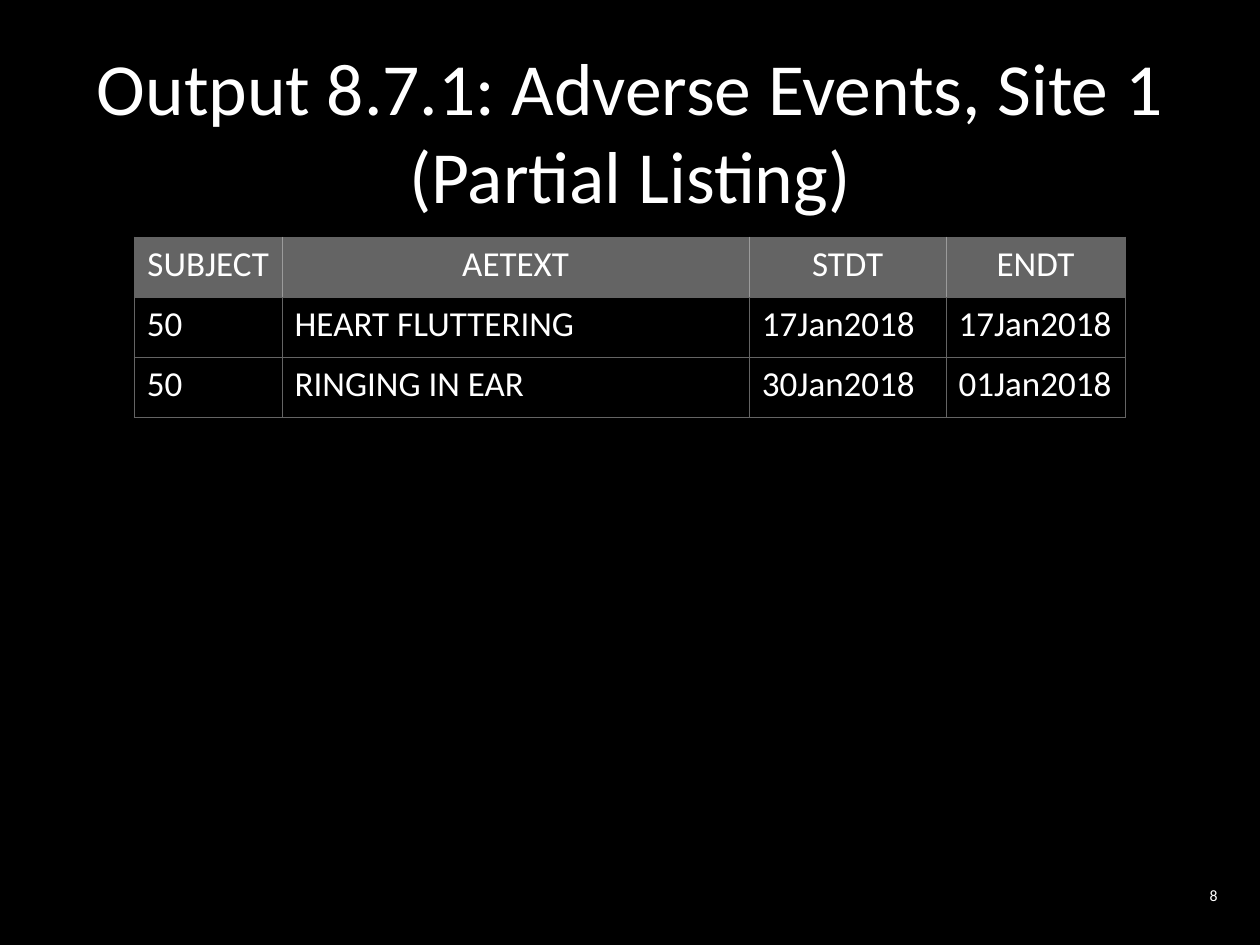
from pptx import Presentation
from pptx.dml.color import RGBColor
from pptx.enum.text import MSO_ANCHOR, PP_ALIGN
from pptx.oxml import parse_xml
from pptx.oxml.ns import nsdecls
from pptx.util import Pt

BLACK = RGBColor(0x00, 0x00, 0x00)
WHITE = RGBColor(0xFF, 0xFF, 0xFF)
GRAY = RGBColor(0x64, 0x64, 0x64)
LIGHT_GRAY = RGBColor(0x9B, 0x9B, 0x9B)
FONT = "Calibri"

COLUMN_WIDTHS = [84.4, 267, 112.4, 102.4]
ROW_HEIGHT = 34.4
EVENTS = [
    ["SUBJECT", "AETEXT", "STDT", "ENDT"],
    ["50", "HEART FLUTTERING", "17Jan2018", "17Jan2018"],
    ["50", "RINGING IN EAR", "30Jan2018", "01Jan2018"],
]


def format_text(text_frame, size, alignment):
    for paragraph in text_frame.paragraphs:
        paragraph.alignment = alignment
        for run in paragraph.runs:
            run.font.name = FONT
            run.font.size = Pt(size)
            run.font.color.rgb = WHITE


def add_text(slide, text, left, top, width, height, size, alignment):
    shape = slide.shapes.add_textbox(Pt(left), Pt(top), Pt(width), Pt(height))
    text_frame = shape.text_frame
    text_frame.word_wrap = True
    text_frame.vertical_anchor = MSO_ANCHOR.MIDDLE
    text_frame.text = text
    format_text(text_frame, size, alignment)


def set_borders(cell, colors):
    """Draw half-point borders; colors run left, right, top, bottom."""
    properties = cell._tc.get_or_add_tcPr()
    for index, (side, color) in enumerate(zip("LRTB", colors)):
        properties.insert(index, parse_xml(
            f'<a:ln{side} {nsdecls("a")} w="{Pt(0.5)}"><a:solidFill>'
            f'<a:srgbClr val="{color}"/></a:solidFill></a:ln{side}>'))


def add_event_table(slide, left, top):
    header, last_column = EVENTS[0], len(COLUMN_WIDTHS) - 1
    table = slide.shapes.add_table(
        len(EVENTS), len(header), Pt(left), Pt(top),
        Pt(sum(COLUMN_WIDTHS)), Pt(ROW_HEIGHT * len(EVENTS))).table
    table.horz_banding = False
    for column, width in zip(table.columns, COLUMN_WIDTHS):
        column.width = Pt(width)
    for row_index, values in enumerate(EVENTS):
        is_header = row_index == 0
        table.rows[row_index].height = Pt(ROW_HEIGHT)
        for column_index, value in enumerate(values):
            cell = table.cell(row_index, column_index)
            cell.text_frame.text = value
            format_text(cell.text_frame, 20,
                        PP_ALIGN.CENTER if is_header else PP_ALIGN.LEFT)
            cell.fill.solid()
            cell.fill.fore_color.rgb = GRAY if is_header else BLACK
            inner = LIGHT_GRAY if is_header else GRAY
            set_borders(cell, [
                GRAY if column_index == 0 else inner,
                GRAY if column_index == last_column else inner,
                GRAY,
                inner,
            ])


def main():
    presentation = Presentation()
    presentation.slide_width = Pt(720)
    presentation.slide_height = Pt(540)
    slide = presentation.slides.add_slide(presentation.slide_layouts[6])
    slide.background.fill.solid()
    slide.background.fill.fore_color.rgb = BLACK

    add_text(slide, "Output 8.7.1: Adverse Events, Site 1\v(Partial Listing)",
             18, 18, 684, 112.5, 42, PP_ALIGN.CENTER)
    add_event_table(slide, 76.8, 135.4)
    add_text(slide, "8", 531.4, 501.1, 171.4, 20.9, 9, PP_ALIGN.RIGHT)
    presentation.save("out.pptx")


if __name__ == "__main__":
    main()
